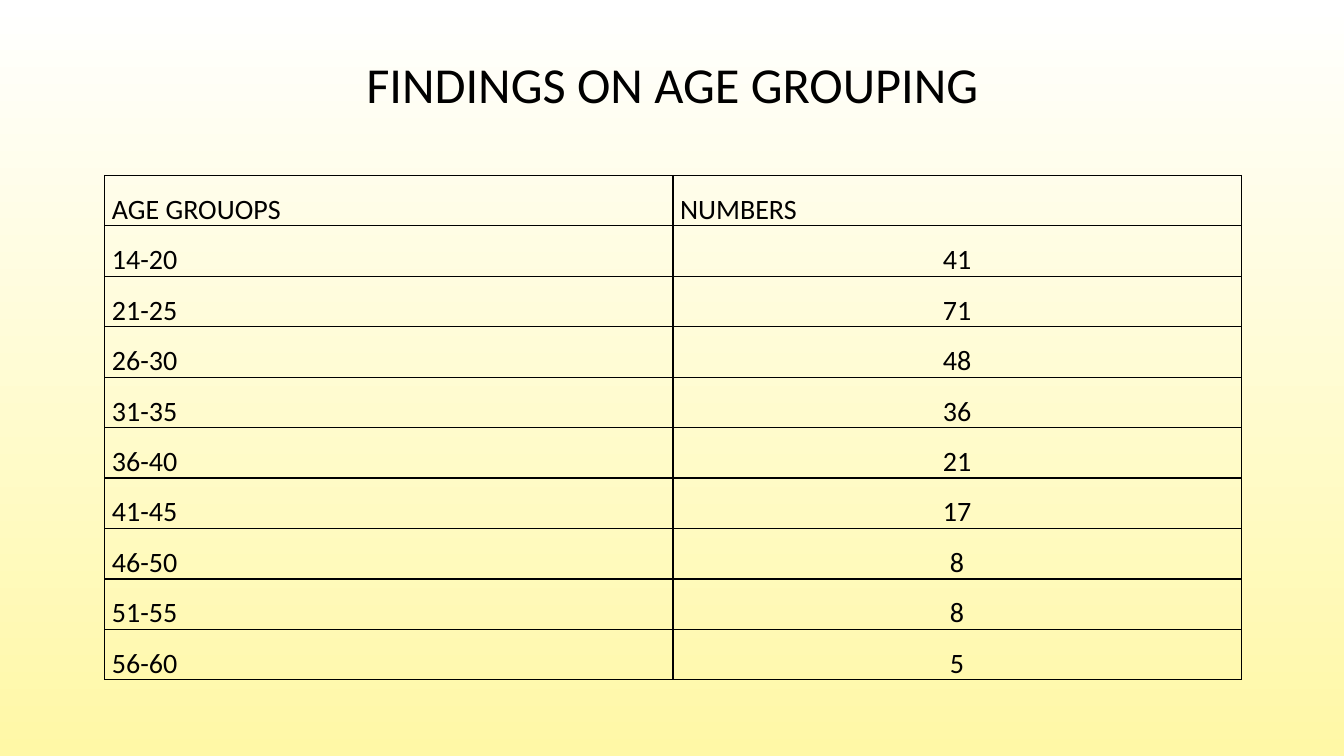
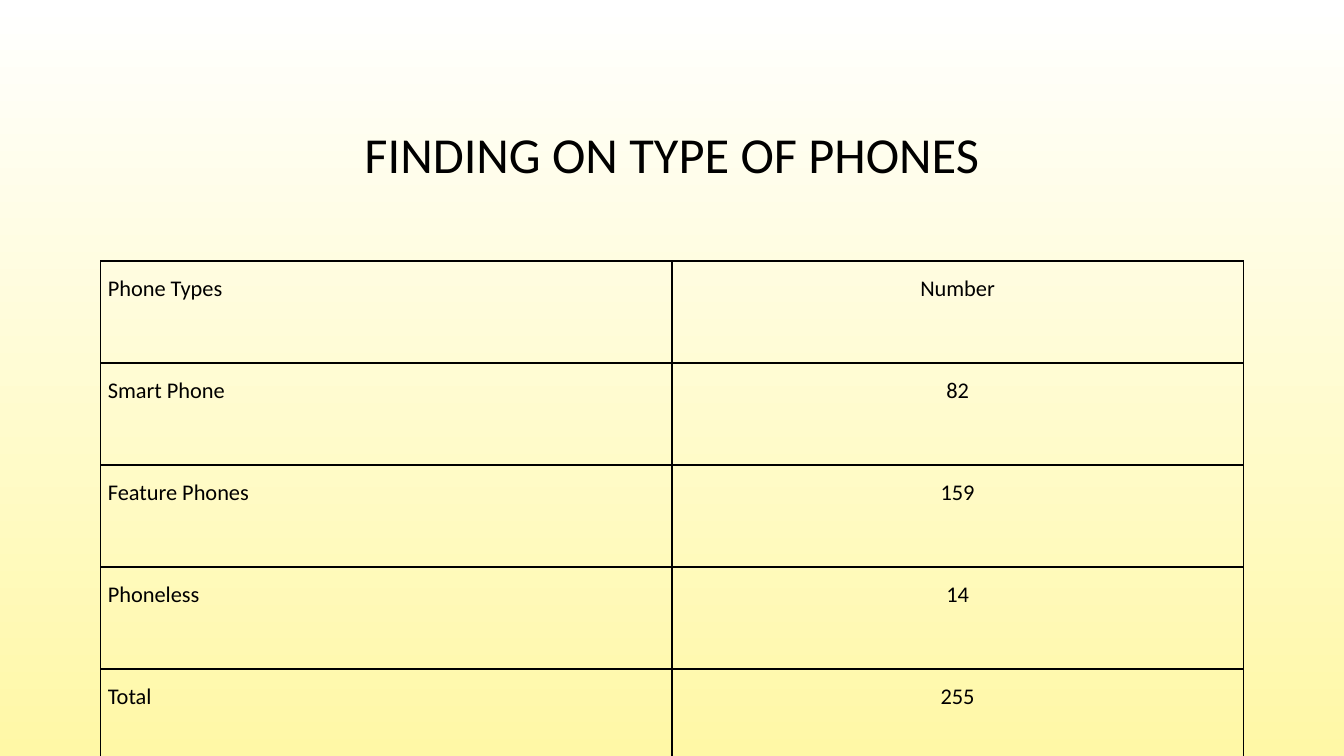
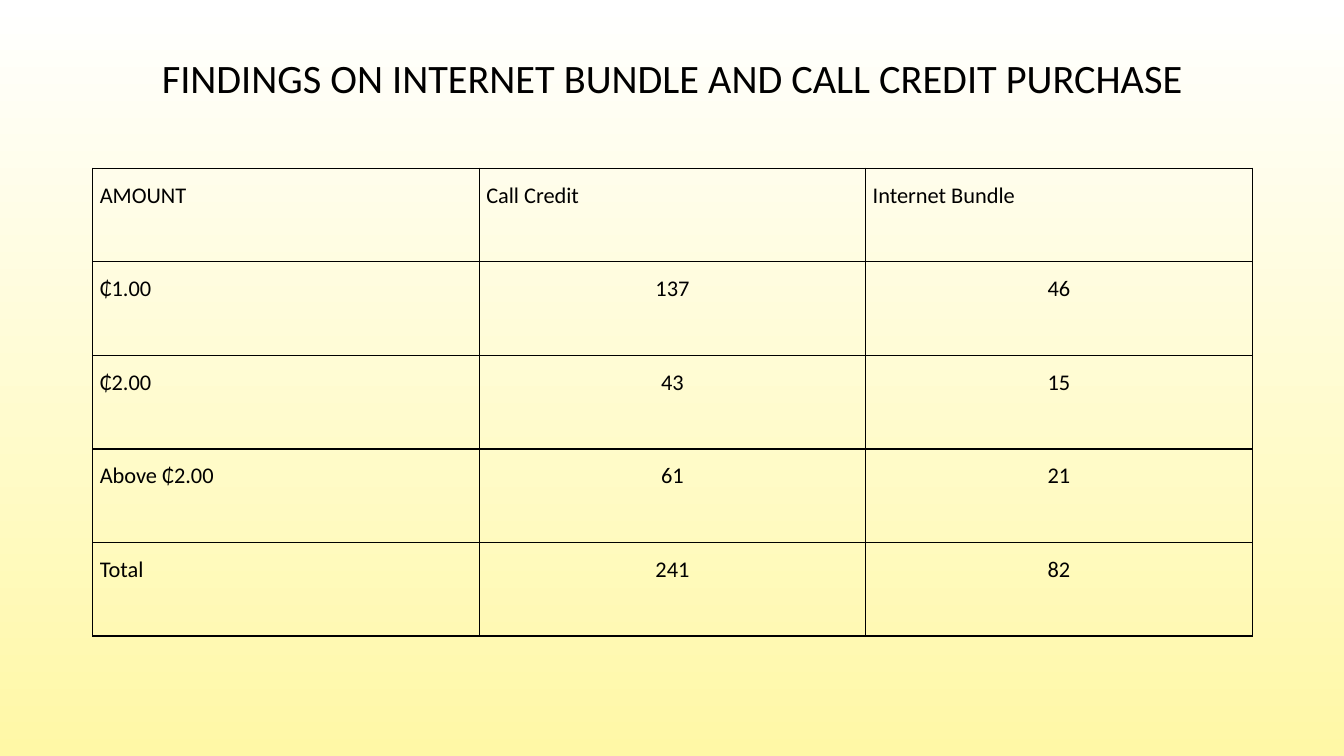
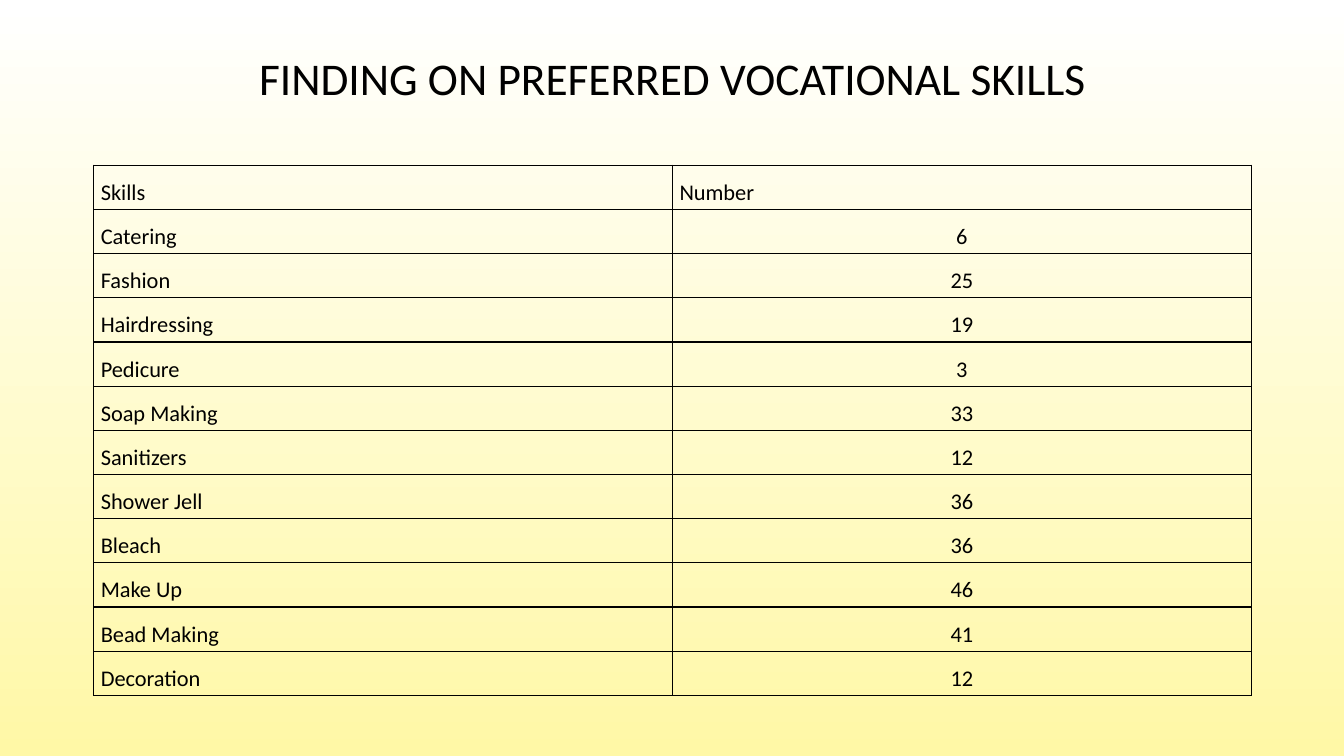
"""Build four slides of survey findings, each a title above a ruled table."""
import dataclasses

import lxml.etree
import pptx
import pptx.dml.color
import pptx.enum.text
import pptx.oxml.ns
import pptx.presentation
import pptx.slide
import pptx.table
import pptx.text.text
import pptx.util

Inches = pptx.util.Inches
Align = pptx.enum.text.PP_ALIGN

FONT = "Calibri"
INK = "000000"
BACKGROUND_TOP = "FFFFFF"
BACKGROUND_BOTTOM = "FFF8A6"
BORDER_WIDTH = pptx.util.Pt(1)
CELL_INSET = Inches(0.07)


@dataclasses.dataclass(frozen=True)
class Box:
    left: float
    top: float
    width: float
    height: float

    def lengths(self) -> tuple[pptx.util.Length, ...]:
        return tuple(Inches(value) for value in dataclasses.astuple(self))


@dataclasses.dataclass(frozen=True)
class Finding:
    title: str
    title_box: Box
    title_size: float
    table_box: Box
    text_size: float
    rows: tuple[tuple[str, ...], ...]
    header_align: Align = Align.LEFT


FINDINGS = (
    Finding(
        "FINDINGS ON AGE GROUPING", Box(0.92, 0.4, 11.5, 0.93), 36,
        Box(1.04, 1.74, 11.27, 4.83), 20,
        (
            ("AGE GROUOPS", "NUMBERS"),
            ("14-20", "41"),
            ("21-25", "71"),
            ("26-30", "48"),
            ("31-35", "36"),
            ("36-40", "21"),
            ("41-45", "17"),
            ("46-50", "8"),
            ("51-55", "8"),
            ("56-60", "5"),
        ),
    ),
    Finding(
        "FINDING ON TYPE OF PHONES", Box(1, 0.68, 11.33, 1.75), 36,
        Box(1, 2.59, 11.33, 5.06), 16,
        (
            ("Phone Types", "Number"),
            ("Smart Phone", "82"),
            ("Feature Phones", "159"),
            ("Phoneless", "14"),
            ("Total", "255"),
        ),
        Align.CENTER,
    ),
    Finding(
        "FINDINGS ON INTERNET BUNDLE AND CALL CREDIT PURCHASE",
        Box(0.92, 0.4, 11.5, 0.79), 28.8,
        Box(0.92, 1.67, 11.5, 4.64), 16,
        (
            ("AMOUNT", "Call Credit", "Internet Bundle"),
            ("₵1.00", "137", "46"),
            ("₵2.00", "43", "15"),
            ("Above ₵2.00", "61", "21"),
            ("Total", "241", "82"),
        ),
    ),
    Finding(
        "FINDING ON PREFERRED VOCATIONAL SKILLS",
        Box(0.92, 0.4, 11.5, 0.81), 32.4,
        Box(0.93, 1.64, 11.48, 5.26), 16,
        (
            ("Skills", "Number"),
            ("Catering", "6"),
            ("Fashion", "25"),
            ("Hairdressing", "19"),
            ("Pedicure", "3"),
            ("Soap Making", "33"),
            ("Sanitizers", "12"),
            ("Shower Jell", "36"),
            ("Bleach", "36"),
            ("Make Up", "46"),
            ("Bead Making", "41"),
            ("Decoration", "12"),
        ),
    ),
)


def color(value: str) -> pptx.dml.color.RGBColor:
    return pptx.dml.color.RGBColor.from_string(value)


def set_background(presentation: pptx.presentation.Presentation) -> None:
    fill = presentation.slide_master.background.fill
    fill.gradient()
    fill.gradient_angle = 270
    for stop, value in zip(fill.gradient_stops, (BACKGROUND_TOP, BACKGROUND_BOTTOM)):
        stop.color.rgb = color(value)


def write_text(
    frame: pptx.text.text.TextFrame, text: str, size: float, align: Align, spacing: float
) -> None:
    paragraph = frame.paragraphs[0]
    paragraph.text = text
    paragraph.alignment = align
    paragraph.line_spacing = spacing
    paragraph.font.name = FONT
    paragraph.font.size = pptx.util.Pt(size)
    paragraph.font.color.rgb = color(INK)


def add_title(slide: pptx.slide.Slide, finding: Finding) -> None:
    frame = slide.shapes.add_textbox(*finding.title_box.lengths()).text_frame
    frame.word_wrap = True
    frame.vertical_anchor = pptx.enum.text.MSO_ANCHOR.MIDDLE
    write_text(frame, finding.title, finding.title_size, Align.CENTER, 0.9)


def style_cell(cell: pptx.table._Cell) -> None:
    qualified = pptx.oxml.ns.qn
    cell.margin_left = cell.margin_right = CELL_INSET
    cell.margin_top = cell.margin_bottom = 0
    properties = cell._tc.get_or_add_tcPr()
    for side in ("a:lnL", "a:lnR", "a:lnT", "a:lnB"):
        line = lxml.etree.SubElement(properties, qualified(side), w=str(BORDER_WIDTH))
        solid = lxml.etree.SubElement(line, qualified("a:solidFill"))
        lxml.etree.SubElement(solid, qualified("a:srgbClr"), val=INK)
    cell.fill.background()


def add_table(slide: pptx.slide.Slide, finding: Finding) -> None:
    rows = finding.rows
    table = slide.shapes.add_table(
        len(rows), len(rows[0]), *finding.table_box.lengths()
    ).table
    table.first_row = table.horz_banding = False
    for row_index, row in enumerate(rows):
        for column_index, text in enumerate(row):
            if column_index == 0:
                align = Align.LEFT
            elif row_index == 0:
                align = finding.header_align
            else:
                align = Align.CENTER
            cell = table.cell(row_index, column_index)
            style_cell(cell)
            write_text(cell.text_frame, text, finding.text_size, align, 1.5)


def main() -> None:
    presentation = pptx.Presentation()
    presentation.slide_width = Inches(13.33)
    presentation.slide_height = Inches(7.5)
    set_background(presentation)
    for finding in FINDINGS:
        slide = presentation.slides.add_slide(presentation.slide_layouts[6])
        add_title(slide, finding)
        add_table(slide, finding)
    presentation.save("out.pptx")


if __name__ == "__main__":
    main()
